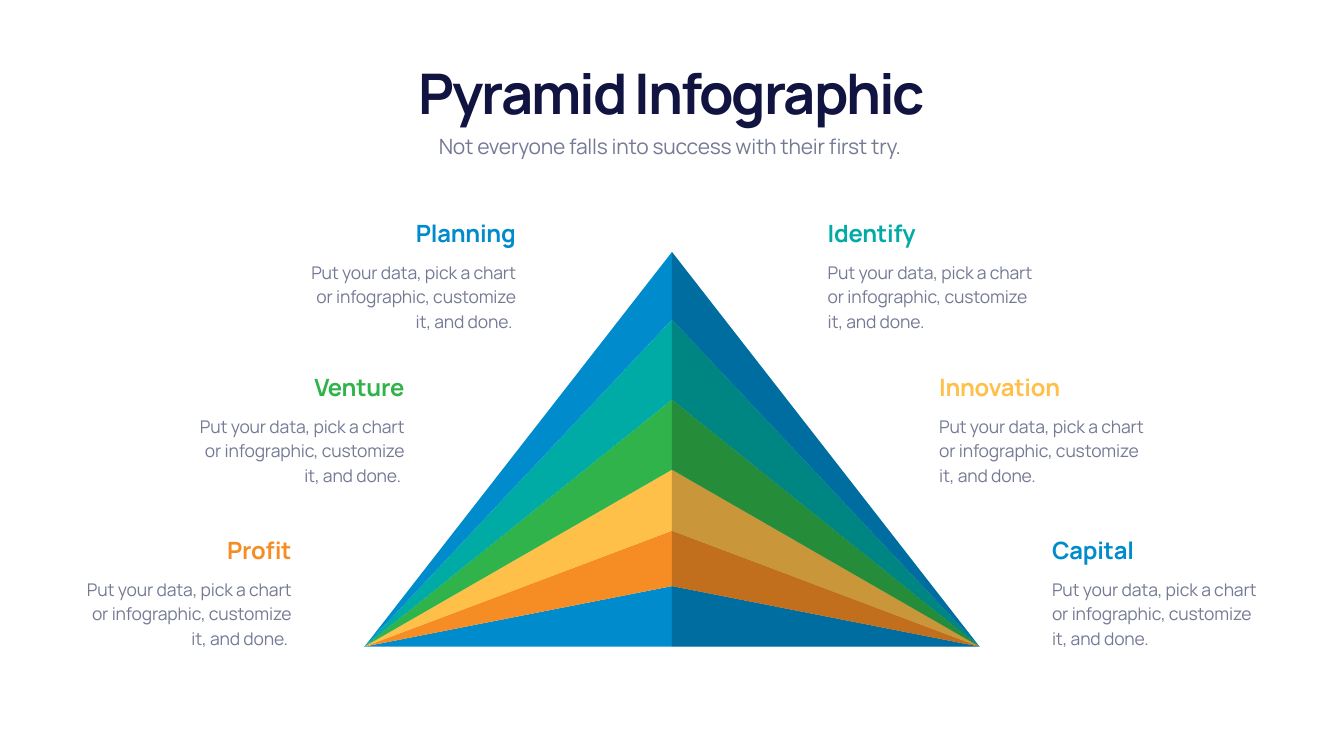
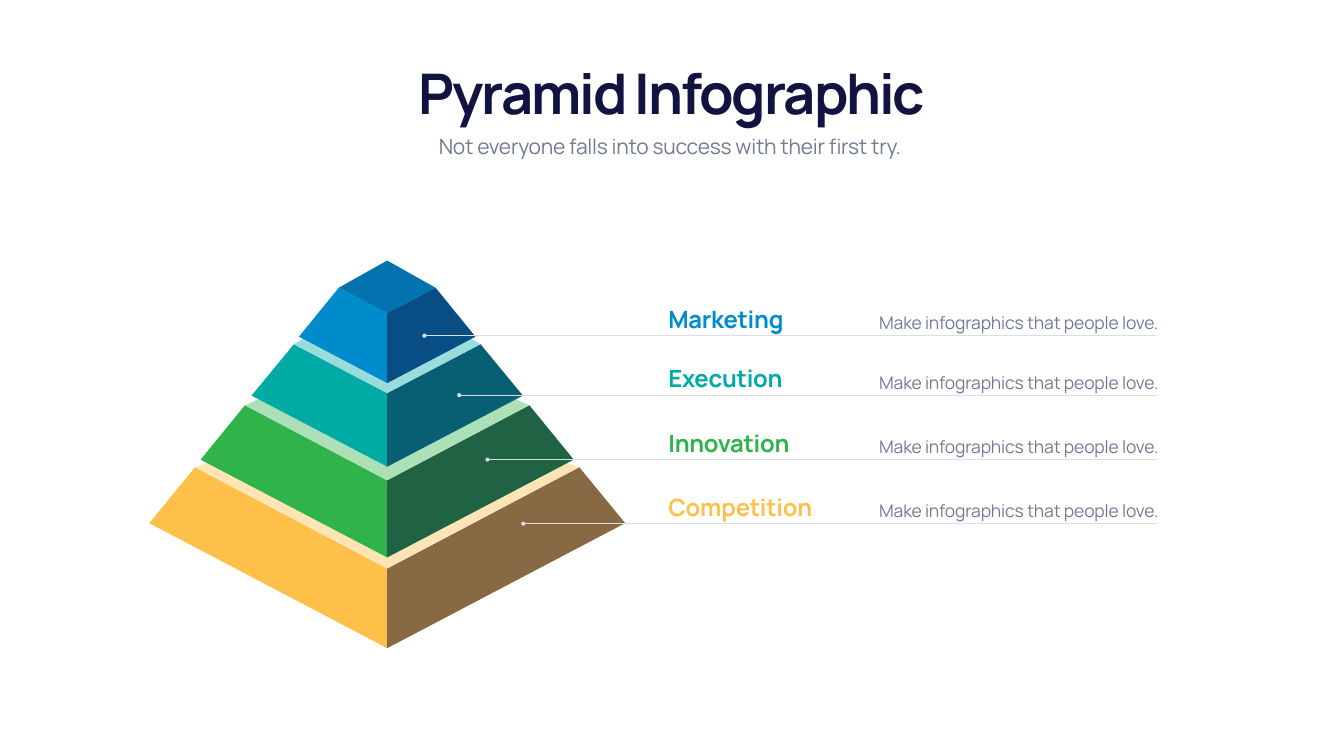
from lxml import etree
from pptx import Presentation
from pptx.dml.color import RGBColor
from pptx.enum.shapes import MSO_CONNECTOR
from pptx.enum.text import MSO_ANCHOR, MSO_AUTO_SIZE, PP_ALIGN
from pptx.oxml.ns import qn
from pptx.util import Inches, Pt

LEFT, CENTER, RIGHT = PP_ALIGN.LEFT, PP_ALIGN.CENTER, PP_ALIGN.RIGHT
TOP, BOTTOM = MSO_ANCHOR.TOP, MSO_ANCHOR.BOTTOM
STRAIGHT = MSO_CONNECTOR.STRAIGHT
FIT_SHAPE = MSO_AUTO_SIZE.SHAPE_TO_FIT_TEXT

BLUE, TEAL, GREEN = "008BCC", "00AAA5", "30B34A"
YELLOW, ORANGE = "FFC04A", "F68D24"
NAVY, GRAY, SILVER, WHITE, BLACK = "111340", "747A94", "DCDFE1", "FFFFFF", "000000"

TITLE = {"font": {"size": Pt(80), "bold": True}, "tracking": -300, "leading": Pt(94)}
SUBTITLE = {"font": {"size": Pt(30)}, "tracking": -30, "leading": Pt(38.4)}
HEADING = {"font": {"size": Pt(34), "bold": True}, "tracking": -30, "leading": None}
BODY = {"font": {"size": Pt(25)}, "tracking": -20, "leading": Pt(35)}

APEX_X, BASE_Y, HALF_BASE = 13.33, 12.83, 6.1
BAND_TOPS = [5, 6.34, 7.93, 9.32, 10.53, 11.63]
BAND_COLORS = [BLUE, TEAL, GREEN, YELLOW, ORANGE, BLUE]
STEP_TEXT = "Put your data, pick a chart or infographic, customize it, and done."
STEP_WIDTH, MIRROR_SUM = 4.41, 22.24
STEP_ROWS = [
    (16.32, 4.29, ("Identify", TEAL), ("Planning", BLUE)),
    (18.53, 7.35, ("Innovation", YELLOW), ("Venture", GREEN)),
    (20.77, 10.58, ("Capital", BLUE), ("Profit", ORANGE)),
]

AXIS_X, LINE_END = 7.68, 22.94
TIER_TEXT = "Make infographics that people love."
TIERS = [
    {"name": "Competition", "color": YELLOW, "back": 7.92, "upper": (3.81, 9.27, 11.28),
     "lower": (4.72, 10.38, 12.86), "lid": [(WHITE, 100), (YELLOW, 40)],
     "callout": (10.38, 10.39)},
    {"name": "Innovation", "color": GREEN, "back": 6.83, "upper": (2.82, 8.04, 9.53),
     "lower": (3.7, 9.12, 11.06), "lid": [(WHITE, 100), (GREEN, 40)],
     "callout": (9.67, 9.12)},
    {"name": "Execution", "color": TEAL, "back": 5.74, "upper": (1.85, 6.83, 7.8),
     "lower": (2.69, 7.85, 9.26), "lid": [(WHITE, 100), (TEAL, 40)],
     "callout": (9.11, 7.84)},
    {"name": "Marketing", "color": BLUE, "back": 5.17, "upper": (0.96, 5.71, 6.21),
     "lower": (1.75, 6.68, 7.6), "lid": [(BLUE, 100), (NAVY, 20)],
     "callout": (8.42, 6.66)},
]


def paint(color_format, hex_color):
    """Set a colour from a hex string."""
    color_format.rgb = RGBColor.from_string(hex_color)


def add_text(slide, box, text, style, color, align=LEFT, anchor=TOP, wrap=True):
    """Add a one-paragraph text box in a named style."""
    frame = slide.shapes.add_textbox(*map(Inches, box)).text_frame
    frame_format = {"word_wrap": wrap, "vertical_anchor": anchor, "auto_size": FIT_SHAPE}
    for name, value in frame_format.items():
        setattr(frame, name, value)
    paragraph = frame.paragraphs[0]
    paragraph.alignment = align
    paragraph.line_spacing = style["leading"]
    run = paragraph.add_run()
    run.text = text
    for name, value in {"name": "Manrope", **style["font"]}.items():
        setattr(run.font, name, value)
    paint(run.font.color, color)
    run._r.get_or_add_rPr().set("spc", str(style["tracking"]))


def add_polygon(slide, points, color, opacity=100):
    """Add a closed, unlined polygon with an optional opacity in percent."""
    start, *others = [(Inches(x), Inches(y)) for x, y in points]
    builder = slide.shapes.build_freeform(*start)
    builder.add_line_segments(others, close=True)
    shape = builder.convert_to_shape()
    shape.shadow.inherit = False
    shape.line.fill.background()
    shape.fill.solid()
    paint(shape.fill.fore_color, color)
    if opacity < 100:
        fill_color = shape._element.spPr.find(".//" + qn("a:srgbClr"))
        etree.SubElement(fill_color, qn("a:alpha"), val=str(opacity * 1000))


def add_callout_line(slide, x, y):
    """Add a thin line that starts with a dot and runs to the right margin."""
    connector = slide.shapes.add_connector(
        STRAIGHT, Inches(x), Inches(y), Inches(LINE_END), Inches(y))
    connector.line.width = Pt(1)
    paint(connector.line.color, SILVER)
    properties = connector._element.spPr
    etree.SubElement(properties.find(qn("a:ln")), qn("a:headEnd"), type="oval")
    etree.SubElement(properties, qn("a:effectLst"))


def add_header(slide):
    """Add the title and subtitle that both slides share."""
    add_text(slide, (8.16, 1.12, 10.34, 1.42), "Pyramid Infographic", TITLE, NAVY,
             CENTER, BOTTOM, wrap=False)
    add_text(slide, (8.56, 2.57, 9.54, 0.6),
             "Not everyone falls into success with their first try. ", SUBTITLE, GRAY, CENTER)


def add_step(slide, x, y, heading, color, align):
    """Add a coloured heading with its text below."""
    ending = " " if align == RIGHT else ""
    add_text(slide, (x, y, STEP_WIDTH, 0.67), heading, HEADING, color, align)
    add_text(slide, (x, y + 0.78, STEP_WIDTH, 1.53), STEP_TEXT + ending, BODY, GRAY, align)


def add_fan_pyramid(slide):
    """Add six bands fanning out to both base corners, with the right half shaded."""
    band_bottoms = BAND_TOPS[1:] + [BASE_Y]
    for corner_x in (APEX_X + HALF_BASE, APEX_X - HALF_BASE):
        for top, bottom, color in reversed(list(zip(BAND_TOPS, band_bottoms, BAND_COLORS))):
            add_polygon(slide, [(APEX_X, top), (corner_x, BASE_Y), (APEX_X, bottom)], color)
    add_polygon(slide, [(APEX_X, BAND_TOPS[0]), (APEX_X, BASE_Y),
                        (APEX_X + HALF_BASE, BASE_Y)], BLACK, 21)


def add_tier(slide, tier):
    """Add one pyramid tier: left face, shaded right face and lid."""
    upper_half, upper_side, upper_front = tier["upper"]
    lower_half, lower_side, lower_front = tier["lower"]
    left_face, right_face = [
        [(AXIS_X, upper_front), (AXIS_X + side * upper_half, upper_side),
         (AXIS_X + side * lower_half, lower_side), (AXIS_X, lower_front)]
        for side in (-1, 1)]
    lid = [(AXIS_X - upper_half, upper_side), (AXIS_X, upper_front),
           (AXIS_X + upper_half, upper_side), (AXIS_X, tier["back"])]
    add_polygon(slide, left_face, tier["color"])
    add_polygon(slide, right_face, tier["color"])
    add_polygon(slide, right_face, NAVY, 50)
    for color, opacity in tier["lid"]:
        add_polygon(slide, lid, color, opacity)


def add_tier_label(slide, tier):
    """Add the callout line of a tier with its name and text resting on it."""
    x, y = tier["callout"]
    add_callout_line(slide, x, y)
    add_text(slide, (13.16, y - 0.67, 3.2, 0.67), tier["name"], HEADING, tier["color"])
    add_text(slide, (17.34, y - 0.58, 5.98, 0.55), TIER_TEXT, BODY, GRAY)


def build_fan_slide(slide):
    """Build the slide with the fan pyramid and six steps."""
    add_fan_pyramid(slide)
    add_header(slide)
    for x, y, right_step, left_step in STEP_ROWS:
        add_step(slide, x, y, *right_step, LEFT)
        add_step(slide, MIRROR_SUM - x, y, *left_step, RIGHT)


def build_tier_slide(slide):
    """Build the slide with the four-tier pyramid and its labels."""
    for tier in TIERS:
        add_tier(slide, tier)
    add_header(slide)
    for tier in reversed(TIERS):
        add_tier_label(slide, tier)


def main():
    """Build and save the presentation."""
    presentation = Presentation()
    presentation.slide_width = Inches(26.66)
    presentation.slide_height = Inches(15)
    blank = presentation.slide_layouts[6]
    for build in (build_fan_slide, build_tier_slide):
        build(presentation.slides.add_slide(blank))
    presentation.save("out.pptx")


if __name__ == "__main__":
    main()
